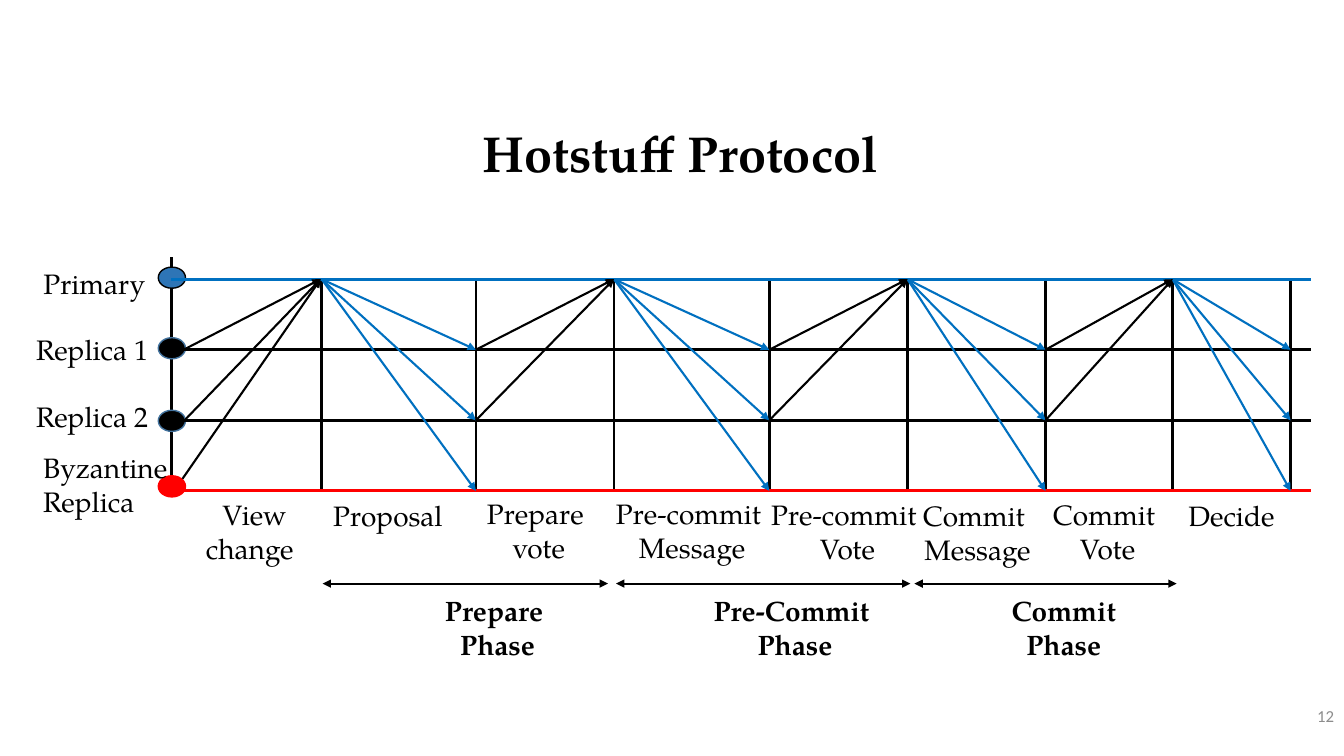
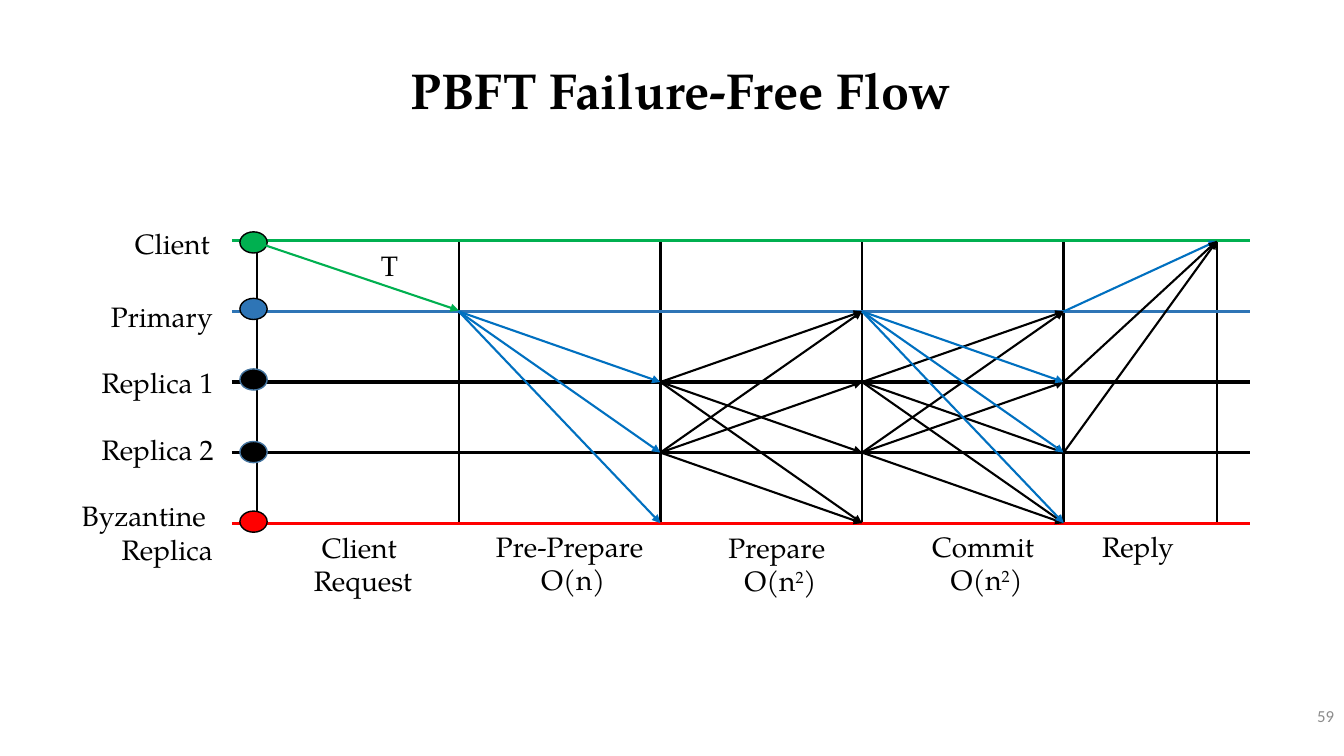
"""Build two slides that show the message flows of the Hotstuff and PBFT protocols."""
from lxml.etree import SubElement
from pptx import Presentation
from pptx.dml.color import RGBColor
from pptx.enum.shapes import MSO_CONNECTOR, MSO_SHAPE
from pptx.enum.text import MSO_ANCHOR, MSO_AUTO_SIZE, PP_ALIGN
from pptx.oxml.ns import qn
from pptx.util import Inches, Pt

SERIF = "TeX Gyre Pagella"
BLACK, BLUE, STEEL, RED, GREEN = "000000", "0070C0", "2E75B6", "FF0000", "00B050"
NODE_EDGE, GREY = "43739E", "8C8C8C"
LEFT, CENTER, RIGHT = PP_ALIGN.LEFT, PP_ALIGN.CENTER, PP_ALIGN.RIGHT
LANE_GAP = 0.7
NODE_WIDTH, NODE_HEIGHT = 0.27, 0.21


def write(slide, text, left, top, width, height, alignment, size=20, bold=False,
          color=BLACK, font=SERIF, wrap=False, anchor=MSO_ANCHOR.TOP):
    """Add a text box; text between two carets becomes superscript."""
    shape = slide.shapes.add_textbox(Inches(left), Inches(top), Inches(width), Inches(height))
    text_frame = shape.text_frame
    text_frame.text = text
    text_frame.word_wrap = wrap
    text_frame.auto_size = MSO_AUTO_SIZE.NONE
    text_frame.vertical_anchor = anchor
    for paragraph in text_frame.paragraphs:
        paragraph.alignment = alignment
        first, *others = paragraph.text.split("^")
        paragraph.text = first
        for index, piece in enumerate(others):
            run = paragraph.add_run()
            run.text = piece
            if index % 2 == 0:
                run._r.get_or_add_rPr().set("baseline", "30000")
        for run in paragraph.runs:
            run.font.name = font
            run.font.size = Pt(size)
            run.font.bold = bold
            run.font.color.rgb = RGBColor.from_string(color)
    return shape


def draw_line(slide, start, end, color=BLACK, width=1.5, arrows=()):
    """Add a straight line with triangles at the named ends."""
    connector = slide.shapes.add_connector(
        MSO_CONNECTOR.STRAIGHT, *(Inches(length) for length in (*start, *end)))
    connector.line.color.rgb = RGBColor.from_string(color)
    connector.line.width = Pt(width)
    line = connector.line._get_or_add_ln()
    for arrow in arrows:
        SubElement(line, qn(f"a:{arrow}"), type="triangle")
    SubElement(connector._element.spPr, qn("a:effectLst"))


hotstuff = {
    "title": "Hotstuff Protocol",
    "title_top": 1.06,
    "number": "12",
    "columns": [1.7, 3.19, 4.72, 6.09, 7.63, 9, 10.37, 11.63, 12.8],
    "axis_top": 2.55,
    "lane_top": 2.77,
    "lane_span": (1.7, 13),
    "node_left": 1.57,
    "lanes": [
        (BLUE, 2.65, STEEL, BLACK),
        (BLACK, 3.35, BLACK, NODE_EDGE),
        (BLACK, 4.07, BLACK, NODE_EDGE),
        (RED, 4.72, RED, RED),
    ],
    "layers": ("nodes", "lanes"),
    "primary": 0,
    "opening": [
        ((1.84, 3.46), (3.18, 2.77), BLACK),
        ((1.84, 4.16), (3.18, 2.77), BLACK),
        ((1.81, 4.75), (3.18, 2.77), BLACK),
    ],
    "flows": [(column, [0], [1, 2, 3]) for column in (1, 3, 5, 7)]
    + [(column, [1, 2], [0]) for column in (2, 4, 6)],
    "labels": [
        ("Primary", 0.32, 2.59, 1.22, RIGHT),
        ("Replica 1", 0.24, 3.25, 1.33, RIGHT),
        ("Replica 2", 0.24, 3.91, 1.33, RIGHT),
        ("Byzantine\nReplica", 0.33, 4.42, 1.51, LEFT),
        ("View \nchange", 1.93, 4.89, 1.08, RIGHT),
        ("Proposal", 3.19, 4.9, 1.3, RIGHT),
        ("Prepare \nvote", 4.71, 4.88, 1.27, CENTER),
        ("Pre-commit \nMessage", 6, 4.88, 1.73, CENTER),
        ("Pre-commit \nVote", 7.54, 4.89, 1.73, CENTER),
        ("Commit \nMessage", 9.05, 4.9, 1.29, CENTER),
        ("Commit \nVote", 10.34, 4.89, 1.29, CENTER),
        ("Decide", 11.68, 4.9, 1.07, CENTER),
    ],
    "phases": [
        ("Prepare \nPhase", 4.31, 1.25, 3.2, 6.03),
        ("Pre-Commit \nPhase", 6.97, 1.83, 6.11, 9.03),
        ("Commit Phase", 9.84, 1.42, 9.07, 11.67),
    ],
}

pbft = {
    "title": "PBFT Failure-Free Flow",
    "title_top": 0.44,
    "number": "59",
    "columns": [2.55, 4.55, 6.55, 8.55, 10.55, 12.07],
    "axis_top": 2.4,
    "lane_top": 2.39,
    "lane_span": (2.3, 12.4),
    "node_left": 2.38,
    "lanes": [
        (GREEN, 2.3, GREEN, BLACK),
        (STEEL, 2.96, STEEL, BLACK),
        (BLACK, 3.66, BLACK, NODE_EDGE),
        (BLACK, 4.38, BLACK, NODE_EDGE),
        (RED, 5.07, RED, BLACK),
    ],
    "layers": ("lanes", "nodes"),
    "primary": 1,
    "opening": [((2.56, 2.41), (4.55, 3.08), GREEN)],
    "flows": [
        (1, [1], [2, 3, 4]),
        (2, [2, 3], [1, 2, 3, 4]),
        (3, [2, 3, 1], [1, 2, 3, 4]),
        (4, [1, 2, 3], [0]),
    ],
    "labels": [
        ("Client", 1.23, 2.2, 0.95, RIGHT),
        ("Primary", 0.99, 2.92, 1.22, RIGHT),
        ("Replica 1", 0.89, 3.58, 1.33, RIGHT),
        ("Replica 2", 0.89, 4.24, 1.33, RIGHT),
        ("Byzantine \nReplica", 0.7, 4.9, 1.51, RIGHT),
        ("T", 3.68, 2.42, 0.37, LEFT),
        ("Client \nRequest", 3, 5.21, 1.2, CENTER),
        ("Pre-Prepare \nO(n)", 4.81, 5.2, 1.75, CENTER),
        ("Prepare \nO(n^2^)", 7.12, 5.21, 1.24, CENTER),
        ("Commit \nO(n^2^)", 9.14, 5.2, 1.29, CENTER),
        ("Reply", 10.81, 5.2, 0.93, RIGHT),
    ],
    "phases": [],
}

presentation = Presentation()
presentation.slide_width = Inches(13.33)
presentation.slide_height = Inches(7.5)

for protocol in (hotstuff, pbft):
    slide = presentation.slides.add_slide(presentation.slide_layouts[6])
    columns = protocol["columns"]
    lane_start, lane_end = protocol["lane_span"]
    lane_heights = [protocol["lane_top"] + LANE_GAP * index
                    for index in range(len(protocol["lanes"]))]

    title = write(slide, protocol["title"], 1, protocol["title_top"], 11.5, 0.78, CENTER,
                  size=36, bold=True, wrap=True, anchor=MSO_ANCHOR.MIDDLE)
    title.text_frame.paragraphs[0].line_spacing = 1.2

    for index, column in enumerate(columns):
        top = lane_heights[0] if index else protocol["axis_top"]
        draw_line(slide, (column, top), (column, lane_heights[-1]), width=1.75)

    for layer in protocol["layers"]:
        for height, (color, node_top, fill, outline) in zip(lane_heights, protocol["lanes"]):
            if layer == "lanes":
                draw_line(slide, (lane_start, height), (lane_end, height), color, 2.25)
                continue
            node = slide.shapes.add_shape(
                MSO_SHAPE.OVAL, Inches(protocol["node_left"]), Inches(node_top),
                Inches(NODE_WIDTH), Inches(NODE_HEIGHT))
            node.shadow.inherit = False
            node.fill.solid()
            node.fill.fore_color.rgb = RGBColor.from_string(fill)
            node.line.color.rgb = RGBColor.from_string(outline)
            node.line.width = Pt(1)

    for start, end, color in protocol["opening"]:
        draw_line(slide, start, end, color, arrows=["tailEnd"])
    for column, senders, receivers in protocol["flows"]:
        for sender in senders:
            color = BLUE if sender == protocol["primary"] else BLACK
            for receiver in receivers:
                if receiver != sender:
                    draw_line(slide, (columns[column], lane_heights[sender]),
                              (columns[column + 1], lane_heights[receiver]),
                              color, arrows=["tailEnd"])

    for text, left, top, width, alignment in protocol["labels"]:
        write(slide, text, left, top, width, 0.77 if "\n" in text else 0.44, alignment)

    for text, left, width, start, end in protocol["phases"]:
        draw_line(slide, (start, 5.79), (end, 5.79), arrows=["headEnd", "tailEnd"])
        write(slide, text, left, 5.84, width, 0.77, CENTER, bold=True, wrap="\n" not in text)

    write(slide, protocol["number"], 11.63, 6.9, 1.7, 0.4, RIGHT, size=12, color=GREY,
          font="Calibri", wrap=True, anchor=MSO_ANCHOR.MIDDLE)

presentation.save("out.pptx")
